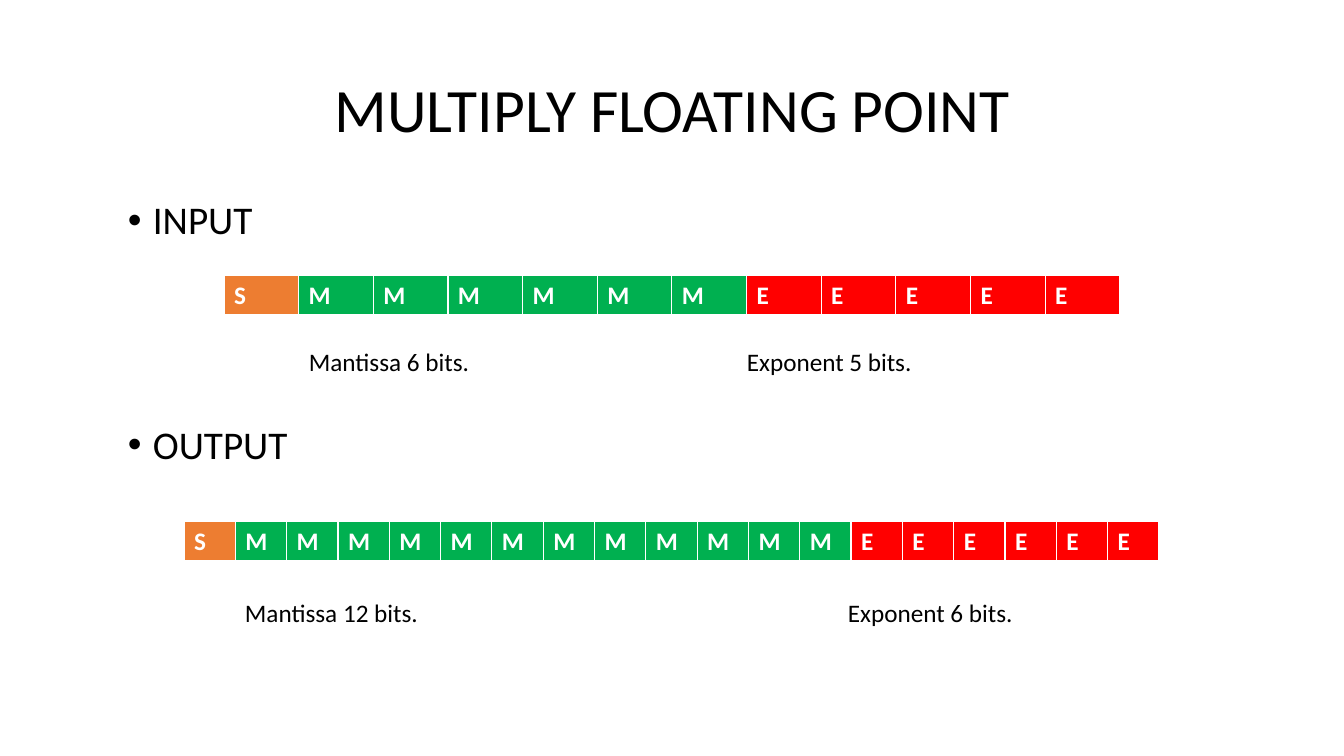
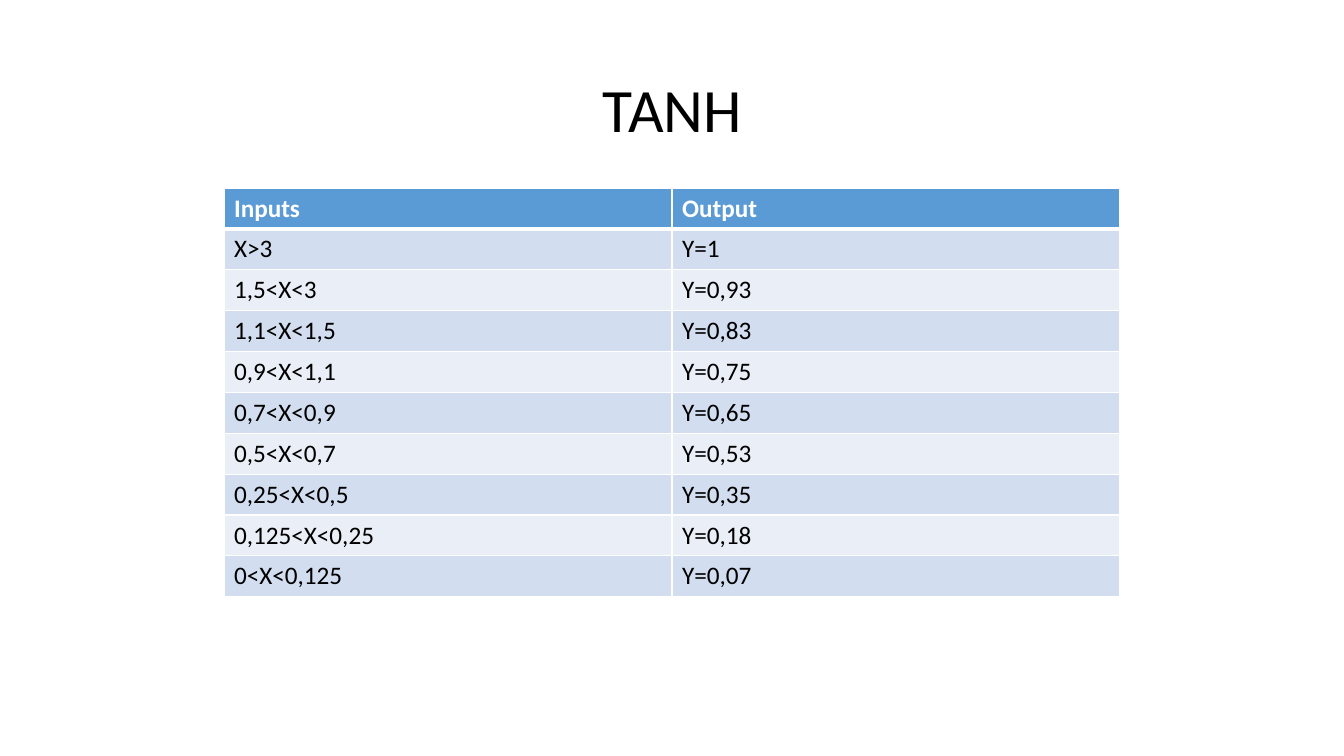
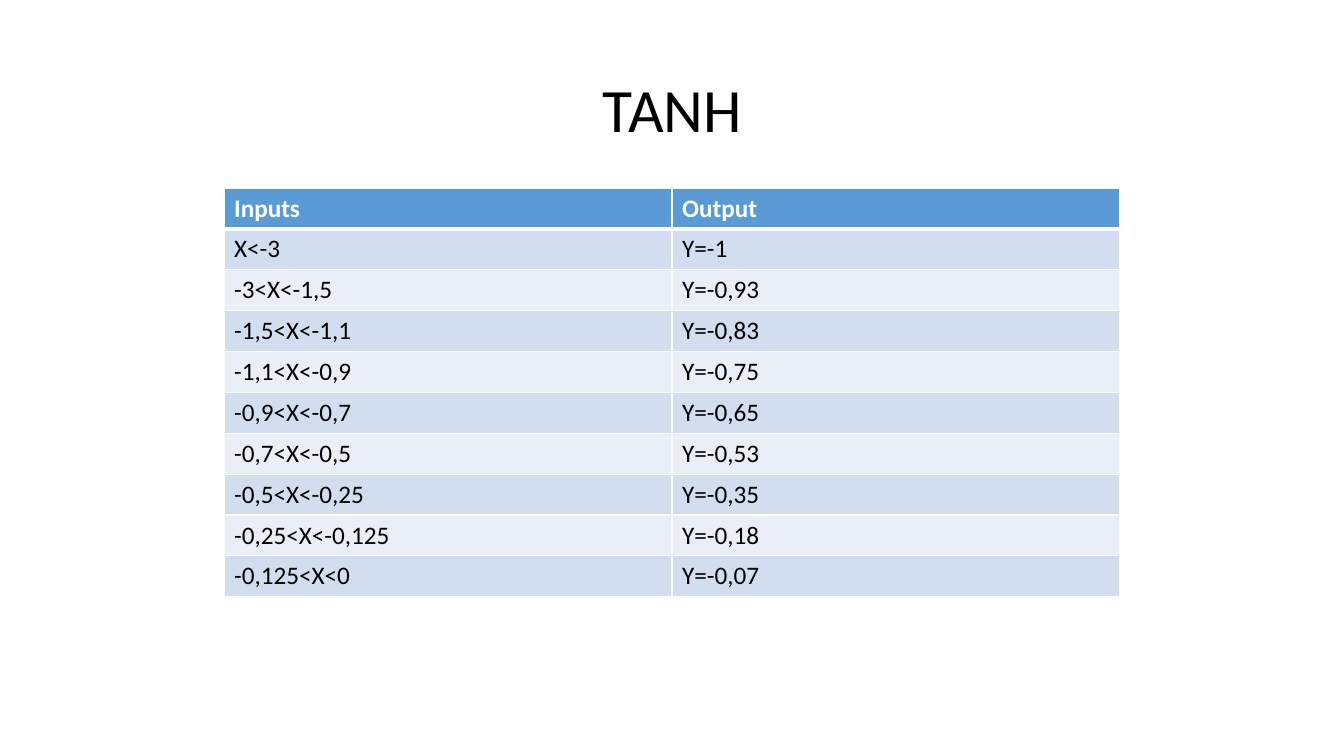
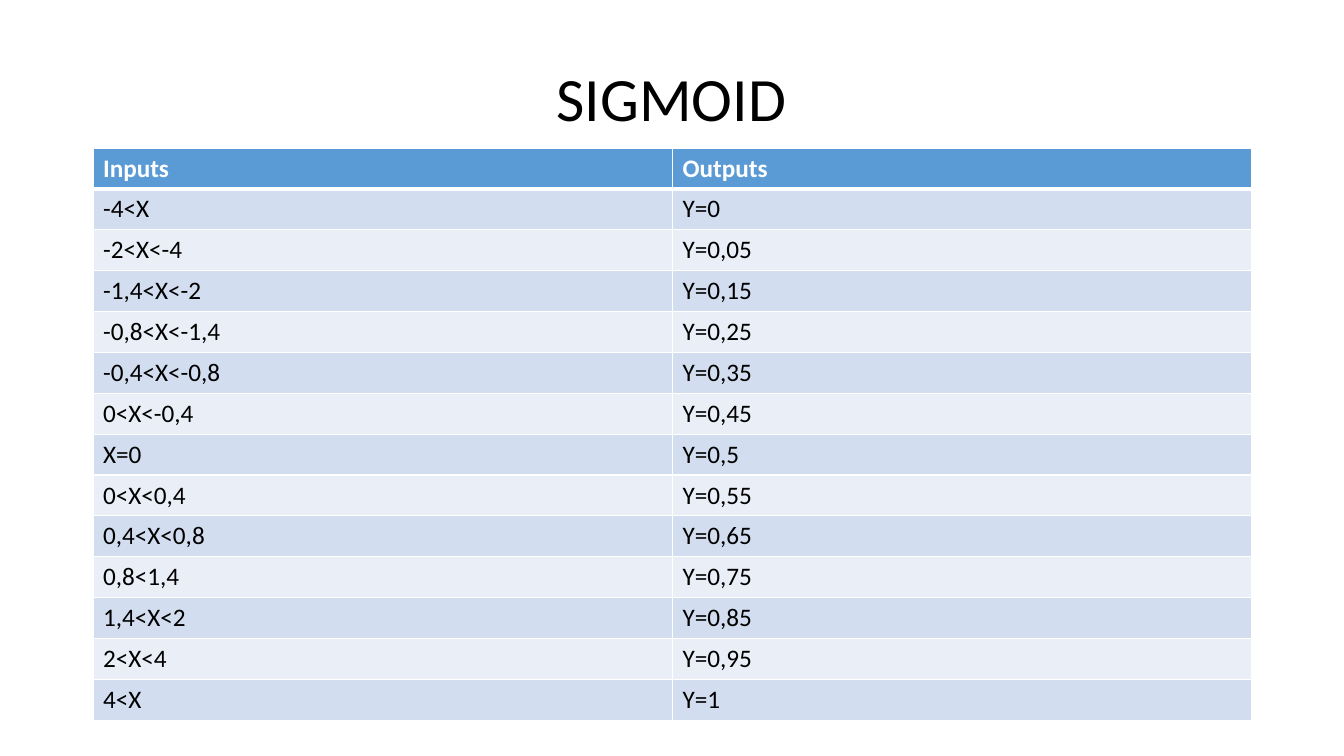
from pptx import Presentation
from pptx.dml.color import RGBColor
from pptx.enum.text import MSO_ANCHOR, MSO_AUTO_SIZE, PP_ALIGN
from pptx.oxml.xmlchemy import OxmlElement
from pptx.util import Pt

MIDDLE, CENTER, NO_FIT = MSO_ANCHOR.MIDDLE, PP_ALIGN.CENTER, MSO_AUTO_SIZE.NONE
PX = 914400 / 100.8
FONT = "Calibri"
COLORS = {
    "text": "000000", "white": "FFFFFF", "head": "5B9BD5",
    "odd": "D2DEEF", "even": "EAEFF7",
    "S": "ED7D31", "M": "00B050", "E": "FF0000",
}

# Content: boxes are left, top, width, height in px
TITLE_BOX = (93, 40, 1159, 146)
FLOAT = {
    "title": "MULTIPLY FLOATING POINT",
    "box": (118, 196, 1159, 480),
    "bullets": [("INPUT", 0), ("OUTPUT", 130)],  # text, space before in pt
    "words": [
        {"bits": "S" + "M" * 6 + "E" * 5, "box": (224, 275, 896, 41),
         "note": "Mantissa 6 bits.\tExponent 5 bits.",
         "at": (299, 341, 723, 40), "tab": 438},
        {"bits": "S" + "M" * 12 + "E" * 6, "box": (184, 521, 975, 41),
         "note": "Mantissa 12 bits.\tExponent 6 bits.",
         "at": (235, 592, 924, 40), "tab": 603},
    ],
}
TABLES = [
    {"title": "ΤΑΝΗ", "at": TITLE_BOX, "box": (224, 188, 896, 409), "rows": [
        ("Inputs", "Output"),
        ("X>3", "Y=1"),
        ("1,5<X<3", "Y=0,93"),
        ("1,1<X<1,5", "Y=0,83"),
        ("0,9<X<1,1", "Y=0,75"),
        ("0,7<X<0,9", "Y=0,65"),
        ("0,5<X<0,7", "Y=0,53"),
        ("0,25<X<0,5", "Y=0,35"),
        ("0,125<X<0,25", "Y=0,18"),
        ("0<X<0,125", "Y=0,07"),
    ]},
    {"title": "ΤΑΝΗ", "at": TITLE_BOX, "box": (224, 188, 896, 409), "rows": [
        ("Inputs", "Output"),
        ("X<-3", "Y=-1"),
        ("-3<Χ<-1,5", "Y=-0,93"),
        ("-1,5<Χ<-1,1", "Y=-0,83"),
        ("-1,1<Χ<-0,9", "Y=-0,75"),
        ("-0,9<Χ<-0,7", "Y=-0,65"),
        ("-0,7<Χ<-0,5", "Y=-0,53"),
        ("-0,5<Χ<-0,25", "Y=-0,35"),
        ("-0,25<Χ<-0,125", "Y=-0,18"),
        ("-0,125<Χ<0", "Y=-0,07"),
    ]},
    {"title": "SIGMOID", "at": (92, 29, 1159, 146), "box": (93, 148, 1159, 572), "rows": [
        ("Inputs", "Outputs"),
        ("-4<X", "Y=0"),
        ("-2<X<-4", "Y=0,05"),
        ("-1,4<X<-2", "Y=0,15"),
        ("-0,8<X<-1,4", "Y=0,25"),
        ("-0,4<X<-0,8", "Y=0,35"),
        ("0<X<-0,4", "Y=0,45"),
        ("X=0", "Y=0,5"),
        ("0<X<0,4", "Y=0,55"),
        ("0,4<X<0,8", "Y=0,65"),
        ("0,8<1,4", "Y=0,75"),
        ("1,4<X<2", "Y=0,85"),
        ("2<X<4", "Y=0,95"),
        ("4<X", "Y=1"),
    ]},
]


def px(n):
    return round(n * PX)


def rgb(name):
    return RGBColor.from_string(COLORS[name])


def add(parent, tag, **attrs):
    child = OxmlElement(tag)
    for key, val in attrs.items():
        child.set(key, str(val))
    parent.append(child)
    return child


def style(para, size, color="text", bold=False):
    font = para.font
    font.name, font.size, font.bold = FONT, Pt(size), bold
    font.color.rgb = rgb(color)


# Shared parts
def add_slide(deck, title, box):
    slide = deck.slides.add_slide(deck.slide_layouts[5])
    shape = slide.shapes.title
    shape.left, shape.top, shape.width, shape.height = map(px, box)
    frame = shape.text_frame
    frame.text = title
    frame.auto_size, frame.vertical_anchor = NO_FIT, MIDDLE
    para = frame.paragraphs[0]
    para.alignment, para.line_spacing = CENTER, 0.9
    style(para, 44)
    return slide


def add_box(slide, box):
    frame = slide.shapes.add_textbox(*map(px, box)).text_frame
    frame.word_wrap = True
    return frame


def add_edges(cell, top, low):
    props = cell._tc.get_or_add_tcPr()
    fill = props[0]
    for side, width in (("L", 1), ("R", 1), ("T", top), ("B", low)):
        line = OxmlElement(f"a:ln{side}")
        line.set("w", str(Pt(width)))
        add(add(line, "a:solidFill"), "a:srgbClr", val=COLORS["white"])
        fill.addprevious(line)


def add_grid(slide, box, rows, tint):
    count, wide = len(rows), len(rows[0])
    grid = slide.shapes.add_table(count, wide, *map(px, box)).table
    for col in grid.columns:
        col.width = px(box[2] / wide)
    for r, texts in enumerate(rows):
        grid.rows[r].height = px(box[3] / count)
        for c, text in enumerate(texts):
            cell = grid.cell(r, c)
            cell.text = text
            cell.fill.solid()
            cell.fill.fore_color.rgb = rgb(tint(r, text))
            add_edges(cell, 3 if r == 1 else 1, 3 if r == 0 else 1)
            style(cell.text_frame.paragraphs[0], 18,
                  "text" if r else "white", r == 0)


# Slide kinds
def add_float(deck):
    slide = add_slide(deck, FLOAT["title"], TITLE_BOX)
    frame = add_box(slide, FLOAT["box"])
    for i, (text, gap) in enumerate(FLOAT["bullets"]):
        para = frame.add_paragraph() if i else frame.paragraphs[0]
        para.text = text
        para.line_spacing, para.space_before = 0.9, Pt(gap)
        props = para._p.get_or_add_pPr()
        props.set("marL", str(px(25)))
        props.set("indent", str(px(-25)))
        add(props, "a:buFont", typeface="Arial")
        add(props, "a:buChar", char="•")
        style(para, 28)
    for word in FLOAT["words"]:
        add_grid(slide, word["box"], [word["bits"]], lambda r, bit: bit)
        para = add_box(slide, word["at"]).paragraphs[0]
        para.text = word["note"]
        tabs = add(para._p.get_or_add_pPr(), "a:tabLst")
        add(tabs, "a:tab", pos=px(word["tab"]), algn="l")
        style(para, 18)


def band(r, text):
    if r == 0:
        return "head"
    return "odd" if r % 2 else "even"


def main():
    deck = Presentation()
    deck.slide_width, deck.slide_height = px(1344), px(756)
    add_float(deck)
    for item in TABLES:
        slide = add_slide(deck, item["title"], item["at"])
        add_grid(slide, item["box"], item["rows"], band)
    deck.save("out.pptx")


if __name__ == "__main__":
    main()
